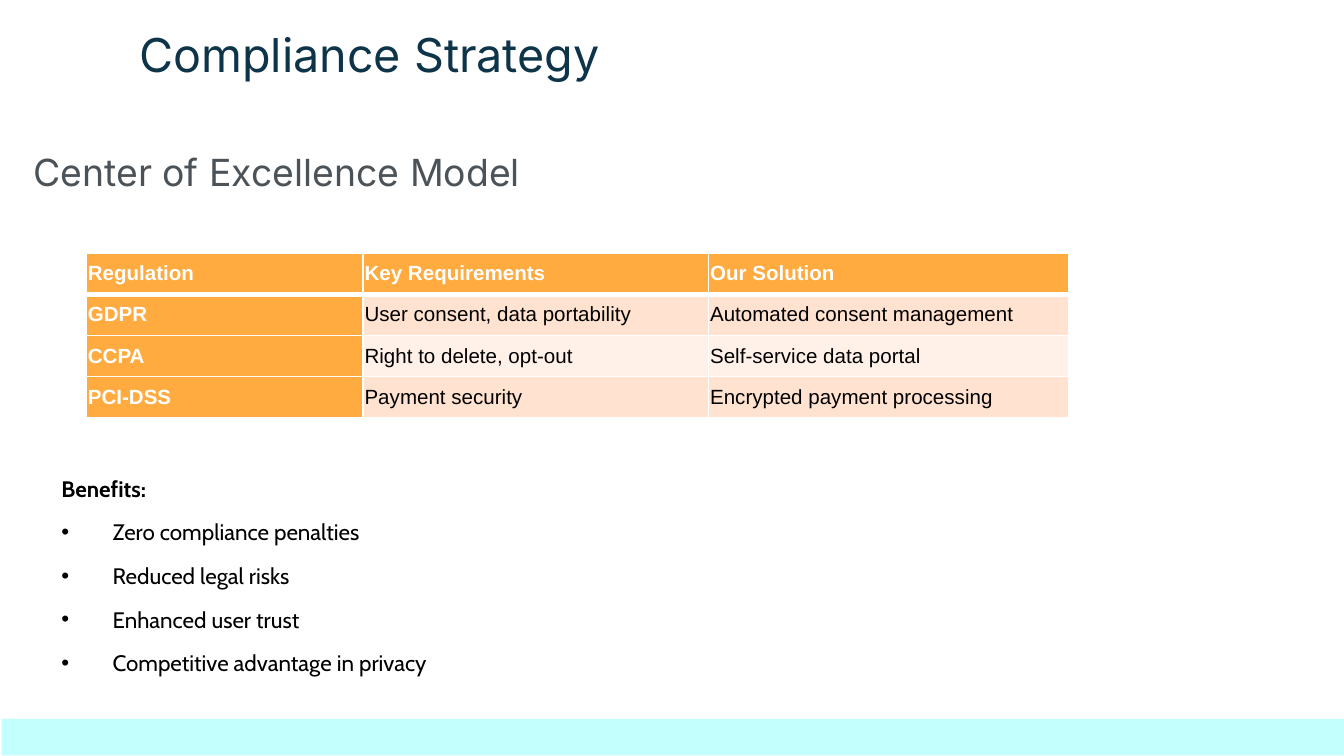
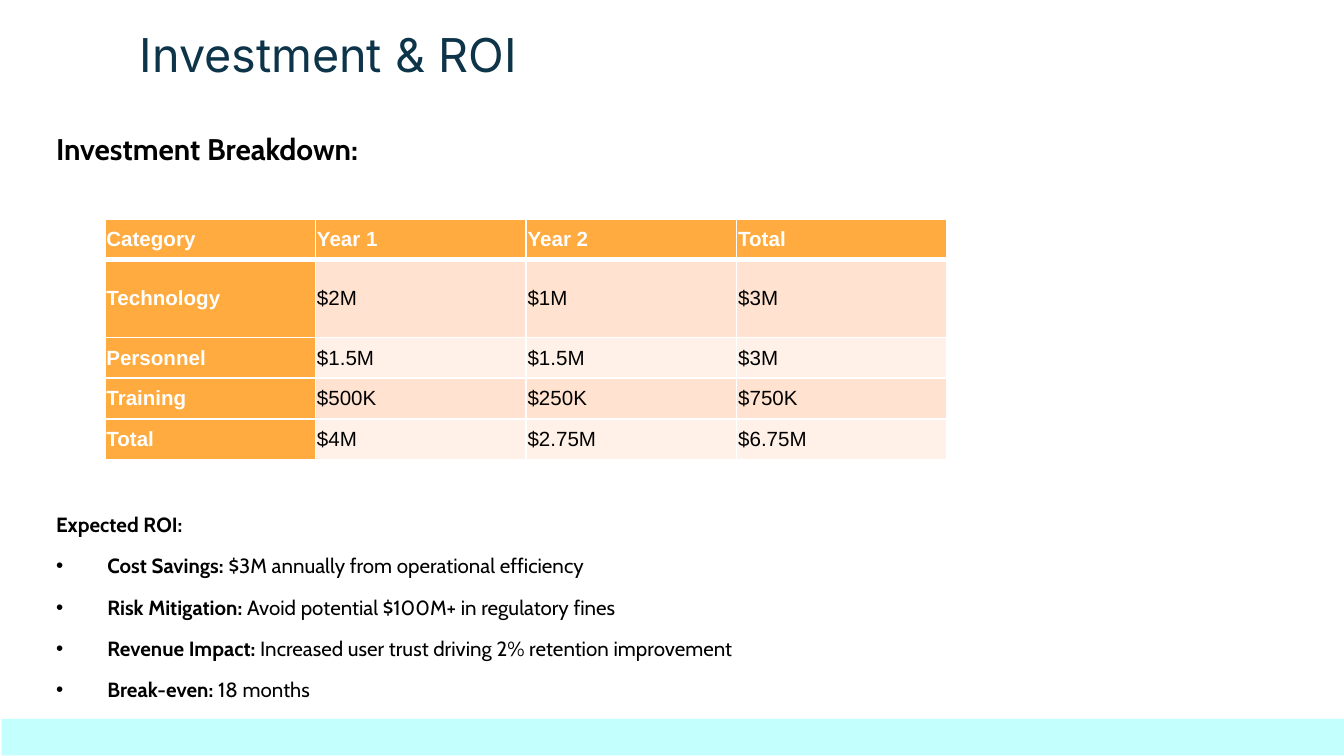
from lxml.etree import SubElement
from pptx import Presentation
from pptx.dml.color import RGBColor
from pptx.enum.shapes import MSO_SHAPE as Shape
from pptx.enum.text import MSO_ANCHOR as Anchor, MSO_AUTO_SIZE as AutoSize, PP_ALIGN as Align
from pptx.oxml.ns import qn
from pptx.util import Cm, Pt

COLORS = {
    "title": "0E3449",
    "subtitle": "4B5258",
    "body": "000000",
    "white": "FFFFFF",
    "band": "C3FFFC",
    "header": "FFAB40",
    "odd_row": "FFE2CF",
    "even_row": "FFF1E8",
}
HEADING_FONT, BODY_FONT, TABLE_FONT = "Inter", "Cabin", "Arial"

# Boxes are left, top, width, height in centimetres.
TITLE_BOX = (2.39, 0.23, 14.76, 1.47)
BAND_BOX = (0.03, 13.59, 25.37, 0.69)
INSET = 0.25
CELL_INSET = 0.03
BULLET_INDENT = 0.97

COMPLIANCE = {
    "title": "Compliance Strategy",
    "heading": {
        "text": "Center of Excellence Model", "box": (0.38, 2.51, 10.06, 1.47),
        "size": 20, "font": HEADING_FONT, "color": "subtitle", "bold": False,
    },
    "table": {
        "corner": (1.63, 4.78),
        "columns": [5.23, 6.53, 6.81],
        "heights": [0.78] * 4,
        "rows": [
            ("Regulation", "Key Requirements", "Our Solution"),
            ("GDPR", "User consent, data portability", "Automated consent management"),
            ("CCPA", "Right to delete, opt-out", "Self-service data portal"),
            ("PCI-DSS", "Payment security", "Encrypted payment processing"),
        ],
    },
    "list": {
        "heading": "Benefits:", "box": (0.91, 8.69, 16, 4.57), "size": 12,
        "items": [
            ("", "Zero compliance penalties"),
            ("", "Reduced legal risks"),
            ("", "Enhanced user trust"),
            ("", "Competitive advantage in privacy"),
        ],
    },
}

INVESTMENT = {
    "title": "Investment & ROI",
    "heading": {
        "text": "Investment Breakdown:", "box": (0.81, 2.18, 8.08, 1.32),
        "size": 16, "font": BODY_FONT, "color": "body", "bold": True,
    },
    "table": {
        "corner": (1.98, 4.14),
        "columns": [3.98] * 4,
        "heights": [0.77, 1.47, 0.77, 0.77, 0.77],
        "rows": [
            ("Category", "Year 1", "Year 2", "Total"),
            ("Technology", "$2M", "$1M", "$3M"),
            ("Personnel", "$1.5M", "$1.5M", "$3M"),
            ("Training", "$500K", "$250K", "$750K"),
            ("Total", "$4M", "$2.75M", "$6.75M"),
        ],
    },
    "list": {
        "heading": "Expected ROI:", "box": (0.81, 9.4, 16.74, 4.55), "size": 11,
        "items": [
            ("Cost Savings:", " $3M annually from operational efficiency"),
            ("Risk Mitigation:", " Avoid potential $100M+ in regulatory fines"),
            ("Revenue Impact:", " Increased user trust driving 2% retention improvement"),
            ("Break-even:", " 18 months"),
        ],
    },
}


def rgb(name):
    return RGBColor.from_string(COLORS[name])


def add_span(para, text, size, font, color="body", bold=False):
    span = para.add_run()
    span.text = text
    span.font.size = Pt(size)
    span.font.name = font
    span.font.bold = bold
    span.font.color.rgb = rgb(color)


def prepare_frame(frame):
    frame.word_wrap = True
    frame.auto_size = AutoSize.NONE
    frame.vertical_anchor = Anchor.TOP
    frame.margin_left = frame.margin_right = Cm(INSET)
    frame.margin_top = frame.margin_bottom = Cm(INSET)


def add_text_box(page, box):
    frame = page.shapes.add_textbox(*map(Cm, box)).text_frame
    prepare_frame(frame)
    return frame


def space_paragraph(para):
    para.line_spacing = 1.07
    para.space_after = Pt(8)


def add_bullet(para):
    properties = para._p.get_or_add_pPr()
    properties.set("marL", str(Cm(BULLET_INDENT)))
    properties.set("indent", str(-Cm(BULLET_INDENT)))
    color = SubElement(properties, qn("a:buClr"))
    SubElement(color, qn("a:srgbClr"), val=COLORS["body"])
    SubElement(properties, qn("a:buFont"), typeface=TABLE_FONT)
    SubElement(properties, qn("a:buChar"), char="•")


def set_title(page, text):
    title = page.shapes.title
    title.left, title.top, title.width, title.height = map(Cm, TITLE_BOX)
    prepare_frame(title.text_frame)
    para = title.text_frame.paragraphs[0]
    para.alignment = Align.LEFT
    para.line_spacing = 1
    para.space_before = Pt(0)
    add_span(para, text, 25, HEADING_FONT, "title")


def add_band(page):
    band = page.shapes.add_shape(Shape.RECTANGLE, *map(Cm, BAND_BOX))
    band.shadow.inherit = False
    band.fill.solid()
    band.fill.fore_color.rgb = rgb("band")
    band.line.fill.background()


def add_heading(page, heading):
    para = add_text_box(page, heading["box"]).paragraphs[0]
    space_paragraph(para)
    add_span(para, heading["text"], heading["size"], heading["font"],
             heading["color"], heading["bold"])


def add_list(page, content):
    frame = add_text_box(page, content["box"])
    size = content["size"]
    para = frame.paragraphs[0]
    space_paragraph(para)
    add_span(para, content["heading"], size, BODY_FONT, bold=True)
    for label, text in content["items"]:
        para = frame.add_paragraph()
        space_paragraph(para)
        add_bullet(para)
        if label:
            add_span(para, label, size, BODY_FONT, bold=True)
        add_span(para, text, size, BODY_FONT)


def set_borders(cell, row):
    """Draw white cell borders, thicker between the header and the first row."""
    widths = {"L": 1, "R": 1, "T": 3 if row == 1 else 1, "B": 3 if row == 0 else 1}
    properties = cell._tc.get_or_add_tcPr()
    for side, width in widths.items():
        line = SubElement(properties, qn(f"a:ln{side}"), w=str(Pt(width)))
        fill = SubElement(line, qn("a:solidFill"))
        SubElement(fill, qn("a:srgbClr"), val=COLORS["white"])


def format_cell(cell, text, row, column):
    is_header = row == 0 or column == 0
    band = "odd_row" if row % 2 else "even_row"
    set_borders(cell, row)
    cell.fill.solid()
    cell.fill.fore_color.rgb = rgb("header" if is_header else band)
    cell.vertical_anchor = Anchor.MIDDLE
    cell.margin_left = cell.margin_right = Cm(CELL_INSET)
    cell.margin_top = cell.margin_bottom = Cm(CELL_INSET)
    add_span(cell.text_frame.paragraphs[0], text, 11, TABLE_FONT,
             "white" if is_header else "body", is_header)


def add_grid(page, content):
    rows, columns, heights = content["rows"], content["columns"], content["heights"]
    box = (*content["corner"], sum(columns), sum(heights))
    table = page.shapes.add_table(len(rows), len(columns), *map(Cm, box)).table
    table.first_col = True
    for column, width in zip(table.columns, columns):
        column.width = Cm(width)
    for row, height in zip(table.rows, heights):
        row.height = Cm(height)
    for row, texts in enumerate(rows):
        for column, text in enumerate(texts):
            format_cell(table.cell(row, column), text, row, column)


def build_page(deck, content):
    page = deck.slides.add_slide(deck.slide_layouts[5])
    set_title(page, content["title"])
    add_band(page)
    add_heading(page, content["heading"])
    add_list(page, content["list"])
    add_grid(page, content["table"])


def main():
    deck = Presentation()
    deck.slide_width, deck.slide_height = Cm(25.4), Cm(14.29)
    for content in (COMPLIANCE, INVESTMENT):
        build_page(deck, content)
    deck.save("out.pptx")


if __name__ == "__main__":
    main()
